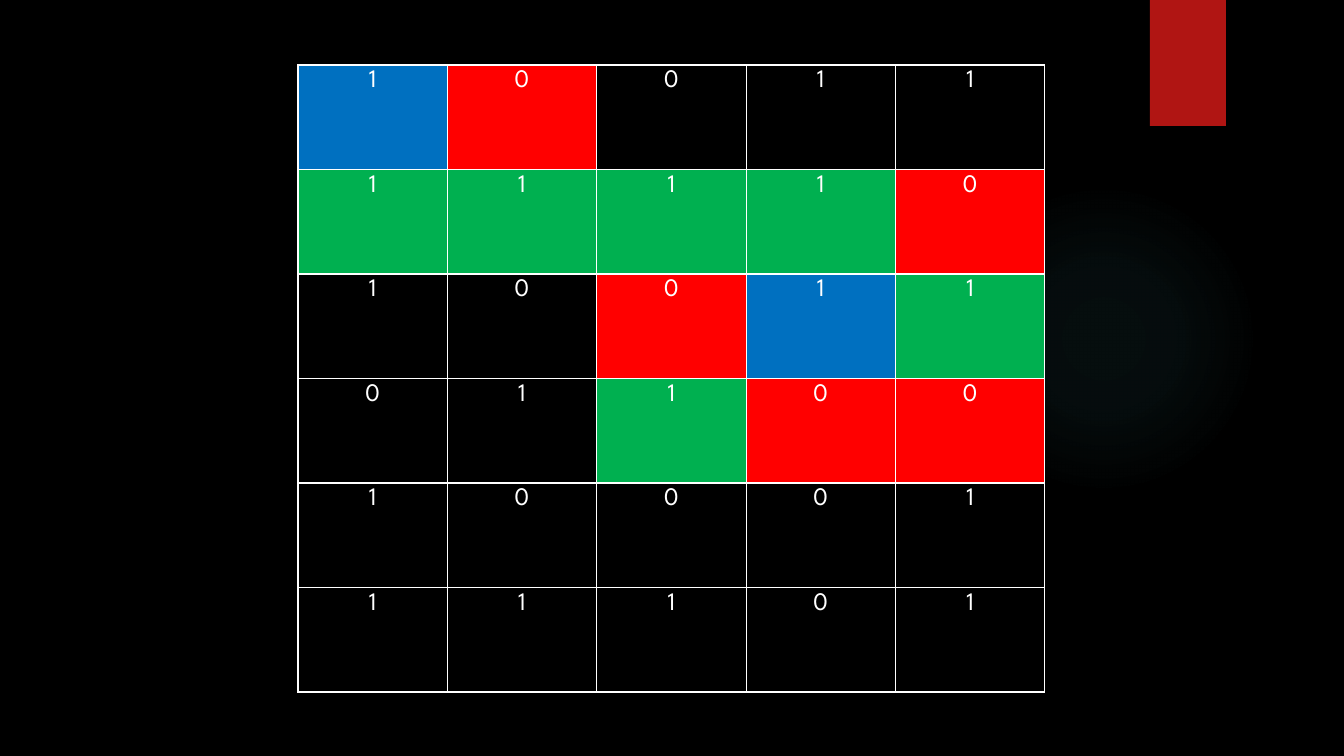
from dataclasses import dataclass

from pptx import Presentation
from pptx.dml.color import RGBColor
from pptx.enum.shapes import MSO_SHAPE as Shape
from pptx.enum.text import PP_ALIGN as Align
from pptx.oxml import parse_xml
from pptx.oxml.ns import nsdecls
from pptx.util import Emu, Pt

SLIDE_WIDTH, SLIDE_HEIGHT = 1344, 756
EMU_PER_PX = 12192000 / SLIDE_WIDTH


@dataclass(frozen=True)
class Theme:
    background: str = "000000"
    text: str = "FFFFFF"
    border: str = "FFFFFF"
    glow: str = "50B9C1"
    ribbon: str = "B01513"
    blue: str = "0070C0"
    red: str = "FF0000"
    green: str = "00B050"
    font: str = "League Spartan"
    cell_size: int = 18
    border_width: int = 1


THEME = Theme()
CELL_FILLS = {"B": THEME.blue, "R": THEME.red, "G": THEME.green}
BITS = ["10011", "11110", "10011", "01100", "10001", "11101"]
MARKS = ["BR...", "GGGGR", "..RBG", "..GRR", ".....", "....."]


def px(length):
    return Emu(round(length * EMU_PER_PX))


def set_fill(fill, color):
    fill.solid()
    fill.fore_color.rgb = RGBColor.from_string(color)


def write_text(text_frame, text, *, size, color, font, align):
    paragraph = text_frame.paragraphs[0]
    paragraph.alignment = align
    run = paragraph.add_run()
    run.text = text
    run.font.size = Pt(size)
    run.font.name = font
    run.font.color.rgb = RGBColor.from_string(color)


def add_plain_shape(slide, kind, box):
    shape = slide.shapes.add_shape(kind, *map(px, box))
    shape.shadow.inherit = False
    shape.line.fill.background()
    return shape


def add_glow(slide, box):
    """Place a faint round glow that fades out from its centre."""
    glow = add_plain_shape(slide, Shape.OVAL, box)
    stops = "".join(
        f'<a:gs pos="{position * 1000}"><a:srgbClr val="{THEME.glow}">'
        f'<a:alpha val="{opacity * 1000}"/></a:srgbClr></a:gs>'
        for position, opacity in [(0, 7), (36, 6), (69, 0)]
    )
    gradient = parse_xml(
        f'<a:gradFill {nsdecls("a")} rotWithShape="1"><a:gsLst>{stops}</a:gsLst>'
        '<a:path path="circle"><a:fillToRect l="50000" t="50000" r="50000" b="50000"/>'
        "</a:path></a:gradFill>"
    )
    glow.element.spPr.find("./{*}prstGeom").addnext(gradient)


def add_ribbon(slide, box):
    set_fill(add_plain_shape(slide, Shape.RECTANGLE, box).fill, THEME.ribbon)


def set_borders(cell):
    properties = cell._tc.get_or_add_tcPr()
    for index, side in enumerate(["lnL", "lnR", "lnT", "lnB"]):
        border = parse_xml(
            f'<a:{side} {nsdecls("a")} w="{Pt(THEME.border_width)}"><a:solidFill>'
            f'<a:srgbClr val="{THEME.border}"/></a:solidFill></a:{side}>'
        )
        properties.insert(index, border)


def add_bit_grid(slide, box):
    left, top, width, height = box
    rows, columns = len(BITS), len(BITS[0])
    table = slide.shapes.add_table(rows, columns, *map(px, box)).table
    table.first_row = table.horz_banding = False
    for column in table.columns:
        column.width = px(width / columns)
    for row in table.rows:
        row.height = px(height / rows)
    for row, (bits, marks) in enumerate(zip(BITS, MARKS)):
        for column, (bit, mark) in enumerate(zip(bits, marks)):
            cell = table.cell(row, column)
            write_text(cell.text_frame, bit, size=THEME.cell_size, color=THEME.text,
                       font=THEME.font, align=Align.CENTER)
            if mark in CELL_FILLS:
                set_fill(cell.fill, CELL_FILLS[mark])
            else:
                cell.fill.background()
            set_borders(cell)


def main():
    presentation = Presentation()
    presentation.slide_width = px(SLIDE_WIDTH)
    presentation.slide_height = px(SLIDE_HEIGHT)
    blank_layout = presentation.slide_layouts[6]
    slide = presentation.slides.add_slide(blank_layout)
    set_fill(slide.background.fill, THEME.background)
    add_glow(slide, (949, 184, 310, 310))
    add_ribbon(slide, (1150, 0, 76, 126))
    add_bit_grid(slide, (298, 65, 747, 627))
    presentation.save("out.pptx")


if __name__ == "__main__":
    main()
